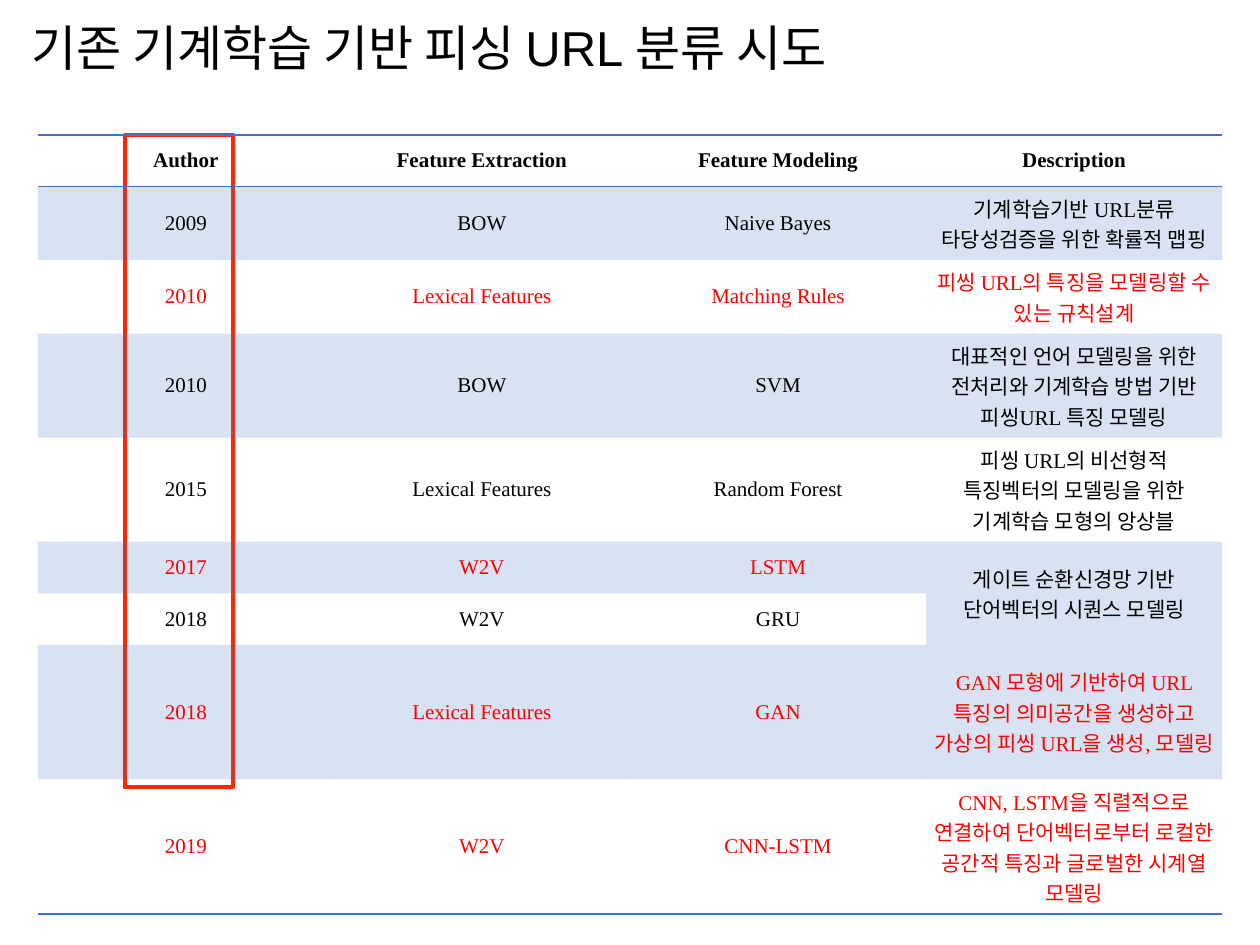
import pptx
import pptx.dml.color
import pptx.enum.text
import pptx.oxml
import pptx.oxml.ns
import pptx.util
import pptx.enum.shapes

Inches, Pt = pptx.util.Inches, pptx.util.Pt
RGBColor = pptx.dml.color.RGBColor
qn = pptx.oxml.ns.qn
MIDDLE = pptx.enum.text.MSO_ANCHOR.MIDDLE
ALIGN = pptx.enum.text.PP_ALIGN

# Content
TITLE = "기존 기계학습 기반 피싱 URL 분류 시도"
HEADER = ("Author", "Feature Extraction", "Feature Modeling", "Description")
STUDIES = [
    ("2009", "BOW", "Naive Bayes", "기계학습기반 URL분류 타당성검증을 위한 확률적 맵핑"),
    ("2010", "Lexical Features", "Matching Rules", "피씽 URL의 특징을 모델링할 수 있는 규칙설계"),
    ("2010", "BOW", "SVM", "대표적인 언어 모델링을 위한 전처리와 기계학습 방법 기반 피씽URL 특징 모델링"),
    ("2015", "Lexical Features", "Random Forest",
     "피씽 URL의 비선형적 특징벡터의 모델링을 위한 기계학습 모형의 앙상블"),
    ("2017", "W2V", "LSTM", "게이트 순환신경망 기반 단어벡터의 시퀀스 모델링"),
    ("2018", "W2V", "GRU", None),  # shares the description above
    ("2018", "Lexical Features", "GAN",
     "GAN 모형에 기반하여 URL 특징의 의미공간을 생성하고 가상의 피씽 URL을 생성, 모델링"),
    ("2019", "W2V", "CNN-LSTM",
     "CNN, LSTM을 직렬적으로 연결하여 단어벡터로부터 로컬한 공간적 특징과 글로벌한 시계열 모델링"),
]
ROWS = [HEADER] + STUDIES
HIGHLIGHTED_ROWS = {2, 5, 7, 8}
SHARED_DESCRIPTION = (5, 3)

BLACK = RGBColor(0x00, 0x00, 0x00)
RED = RGBColor(0xFF, 0x00, 0x00)
FRAME_RED = RGBColor(0xFF, 0x26, 0x00)
BLUE = RGBColor(0x44, 0x72, 0xC4)

BAND_ALPHA = 20
INSET = Inches(0.05)
TABLE_LEFT, TABLE_TOP = 0.3, 1.07
COLUMN_WIDTH, ROW_HEIGHT = 2.35, 0.41
NO_STYLE = "{2D5ABB26-0587-4C30-8999-92F81FD0307C}"


def set_insets(box):
    box.margin_left = box.margin_right = box.margin_top = box.margin_bottom = INSET
    box.vertical_anchor = MIDDLE


def style_run(run, font_name, size, color, bold=False):
    run.font.name = font_name
    run.font.size = Pt(size)
    run.font.bold = bold
    run.font.color.rgb = color


def fill_band(cell):
    cell.fill.solid()
    cell.fill.fore_color.rgb = BLUE
    color = cell.fill._xPr.find(qn("a:solidFill"))[0]
    alpha = color.makeelement(qn("a:alpha"), {"val": str(BAND_ALPHA * 1000)})
    color.append(alpha)


def add_borders(cell, sides):
    properties = cell._tc.get_or_add_tcPr()
    for position, side in enumerate(sides):
        properties.insert(position, pptx.oxml.parse_xml(
            f'<a:ln{side} {pptx.oxml.ns.nsdecls("a")} w="{Pt(1)}">'
            f'<a:solidFill><a:srgbClr val="{BLUE}"/></a:solidFill></a:ln{side}>'))


presentation = pptx.Presentation()
presentation.slide_width, presentation.slide_height = Inches(10), Inches(7.5)
slide = presentation.slides.add_slide(presentation.slide_layouts[5])

# Title
title = slide.shapes.title
title.left, title.top = Inches(0.2), Inches(-0.07)
title.width, title.height = Inches(9.4), Inches(0.94)
title.text_frame.text = TITLE
title.text_frame.word_wrap = True
set_insets(title.text_frame)
heading = title.text_frame.paragraphs[0]
heading.alignment = ALIGN.LEFT
heading.line_spacing = 0.9
style_run(heading.runs[0], "Arial", 28, BLACK)

# Frame around the years, behind the table
year_frame = slide.shapes.add_shape(
    pptx.enum.shapes.MSO_SHAPE.RECTANGLE,
    Inches(0.99), Inches(TABLE_TOP), Inches(0.86), Inches(5.18))
year_frame.shadow.inherit = False
year_frame.fill.background()
year_frame.line.color.rgb = FRAME_RED
year_frame.line.width = Pt(2.25)

# Table of studies
studies = slide.shapes.add_table(
    len(ROWS), len(HEADER), Inches(TABLE_LEFT), Inches(TABLE_TOP),
    Inches(COLUMN_WIDTH * len(HEADER)), Inches(ROW_HEIGHT * len(ROWS))).table
studies._tbl.tblPr.find(qn("a:tableStyleId")).text = NO_STYLE
for row in studies.rows:
    row.height = Inches(ROW_HEIGHT)

shared_row, shared_column = SHARED_DESCRIPTION
studies.cell(shared_row, shared_column).merge(studies.cell(shared_row + 1, shared_column))

for r, values in enumerate(ROWS):
    borders = "TB" if r == 0 else "B" if r == len(ROWS) - 1 else ""
    for c, value in enumerate(values):
        cell = studies.cell(r, c)
        set_insets(cell)
        if r % 2:
            fill_band(cell)
        else:
            cell.fill.background()
        add_borders(cell, borders)
        if value is None:
            continue
        cell.text_frame.text = value
        paragraph = cell.text_frame.paragraphs[0]
        paragraph.alignment = ALIGN.CENTER
        highlighted = r in HIGHLIGHTED_ROWS and (r, c) != SHARED_DESCRIPTION
        style_run(paragraph.runs[0], "Times New Roman", 12,
                  RED if highlighted else BLACK, bold=r == 0)

presentation.save("out.pptx")
